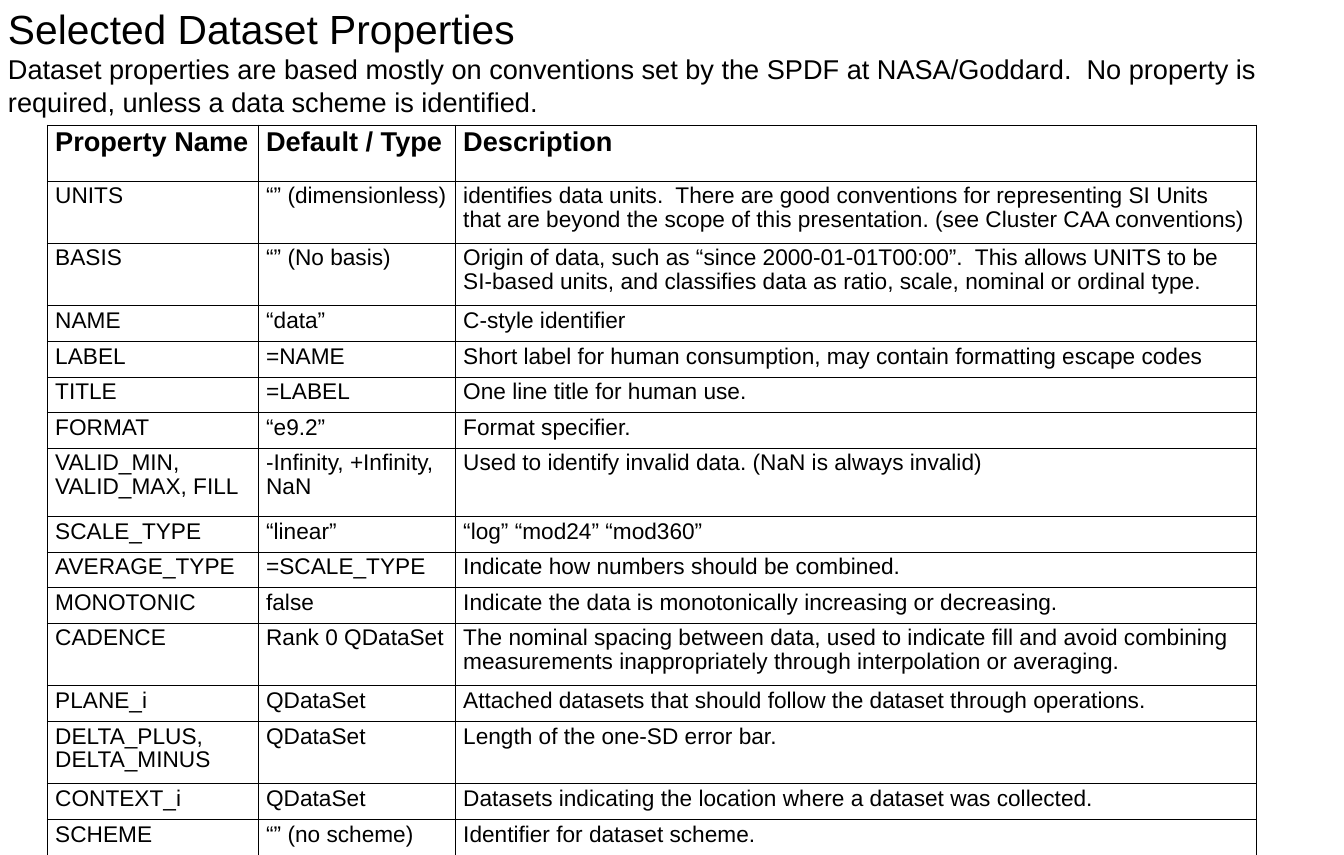
"""Build the slide that lists selected dataset properties in a table."""
from dataclasses import dataclass

from lxml.etree import SubElement
from pptx import Presentation
from pptx.dml.color import RGBColor as RGB
from pptx.enum.text import MSO_AUTO_SIZE as AutoSize
from pptx.oxml.ns import qn
from pptx.util import Inches, Pt

SLIDE_W, SLIDE_H = Inches(16.5), Inches(10.5)
COLORS = {"ink": "000000"}
FONT = "Arial"
TITLE = {"size": Pt(36), "bold": False}
INTRO = {"size": Pt(24), "bold": False}
HEADER = {"size": Pt(24), "bold": True}
BODY = {"size": Pt(20), "bold": False}
OUTER, INNER = Pt(0.5), Pt(0.23)
COLUMNS = (2.59, 2.42, 9.84)
HEADER_ROW, ONE_LINE, TWO_LINES, TALL = 0.69, 0.44, 0.77, 0.84


@dataclass(frozen=True)
class Area:
    left: float
    top: float
    width: float
    height: float

    def emu(self) -> tuple:
        sizes = (SLIDE_W, SLIDE_H, SLIDE_W, SLIDE_H)
        shares = (self.left, self.top, self.width, self.height)
        return tuple(round(size * share / 100) for size, share in zip(sizes, shares))


@dataclass(frozen=True)
class Property:
    name: str
    default: str
    description: str
    height: float = ONE_LINE


HEADING_AREA = Area(0, 0, 100, 14.3)
TABLE_AREA = Area(3.5, 14.6, 90, 85.4)
HEADING = (
    ("Selected Dataset Properties", TITLE),
    ("Dataset properties are based mostly on conventions set by the SPDF at NASA/Goddard.  "
     "No property is required, unless a data scheme is identified.", INTRO),
)
ROWS = (
    Property("Property Name", "Default / Type", "Description", HEADER_ROW),
    Property("UNITS", "“” (dimensionless)",
             "identifies data units.  There are good conventions for representing SI Units "
             "that are beyond the scope of this presentation. (see Cluster CAA conventions)",
             TWO_LINES),
    Property("BASIS", "“” (No basis)",
             "Origin of data, such as “since 2000-01-01T00:00”.  This allows UNITS to be "
             "SI-based units, and classifies data as ratio, scale, nominal or ordinal type.",
             TWO_LINES),
    Property("NAME", "“data”", "C-style identifier"),
    Property("LABEL", "=NAME",
             "Short label for human consumption, may contain formatting escape codes"),
    Property("TITLE", "=LABEL", "One line title for human use."),
    Property("FORMAT", "“e9.2”", "Format specifier."),
    Property("VALID_MIN, VALID_MAX, FILL", "-Infinity, +Infinity, NaN",
             "Used to identify invalid data. (NaN is always invalid)", TALL),
    Property("SCALE_TYPE", "“linear”", "“log” “mod24” “mod360”"),
    Property("AVERAGE_TYPE", "=SCALE_TYPE", "Indicate how numbers should be combined."),
    Property("MONOTONIC", "false",
             "Indicate the data is monotonically increasing or decreasing."),
    Property("CADENCE", "Rank 0 QDataSet",
             "The nominal spacing between data, used to indicate fill and avoid combining "
             "measurements inappropriately through interpolation or averaging.", TWO_LINES),
    Property("PLANE_i", "QDataSet",
             "Attached datasets that should follow the dataset through operations."),
    Property("DELTA_PLUS, DELTA_MINUS", "QDataSet", "Length of the one-SD error bar.",
             TWO_LINES),
    Property("CONTEXT_i", "QDataSet",
             "Datasets indicating the location where a dataset was collected."),
    Property("SCHEME", "“” (no scheme)", "Identifier for dataset scheme."),
)


def write(p, text: str, formats: dict) -> None:
    r = p.add_run()
    r.text = text
    for name, value in {"name": FONT, **formats}.items():
        setattr(r.font, name, value)
    r.font.color.rgb = RGB.from_string(COLORS["ink"])


def add_heading(slide) -> None:
    tf = slide.shapes.add_textbox(*HEADING_AREA.emu()).text_frame
    tf.word_wrap = True
    tf.auto_size = AutoSize.SHAPE_TO_FIT_TEXT
    for i, (text, formats) in enumerate(HEADING):
        p = tf.add_paragraph() if i else tf.paragraphs[0]
        write(p, text, formats)


def set_borders(cell, widths: dict) -> None:
    tc_pr = cell._tc.get_or_add_tcPr()
    for i, (side, width) in enumerate(widths.items()):
        line = SubElement(tc_pr, qn(f"a:ln{side}"), w=str(width))
        fill = SubElement(line, qn("a:solidFill"))
        SubElement(fill, qn("a:srgbClr"), val=COLORS["ink"])
        tc_pr.insert(i, line)


def share_out(tracks, attribute: str, weights: list, total: int) -> None:
    for track, weight in zip(tracks, weights):
        setattr(track, attribute, round(total * weight / sum(weights)))


def add_property_table(slide) -> None:
    area = TABLE_AREA.emu()
    table = slide.shapes.add_table(len(ROWS), len(COLUMNS), *area).table
    table.first_row = table.horz_banding = False
    share_out(table.columns, "width", COLUMNS, area[2])
    share_out(table.rows, "height", [row.height for row in ROWS], area[3])
    last_row, last_col = len(ROWS) - 1, len(COLUMNS) - 1
    for y, row in enumerate(ROWS):
        for x, text in enumerate((row.name, row.default, row.description)):
            cell = table.cell(y, x)
            cell.fill.background()
            edges = {"L": x == 0, "R": x == last_col, "T": y == 0, "B": y == last_row}
            set_borders(cell, {side: OUTER if edge else INNER for side, edge in edges.items()})
            p = cell.text_frame.paragraphs[0]
            p.line_spacing = 0.93
            write(p, text, BODY if y else HEADER)


def main() -> None:
    prs = Presentation()
    prs.slide_width, prs.slide_height = SLIDE_W, SLIDE_H
    slide = prs.slides.add_slide(prs.slide_layouts[6])
    add_heading(slide)
    add_property_table(slide)
    prs.save("out.pptx")


if __name__ == "__main__":
    main()
